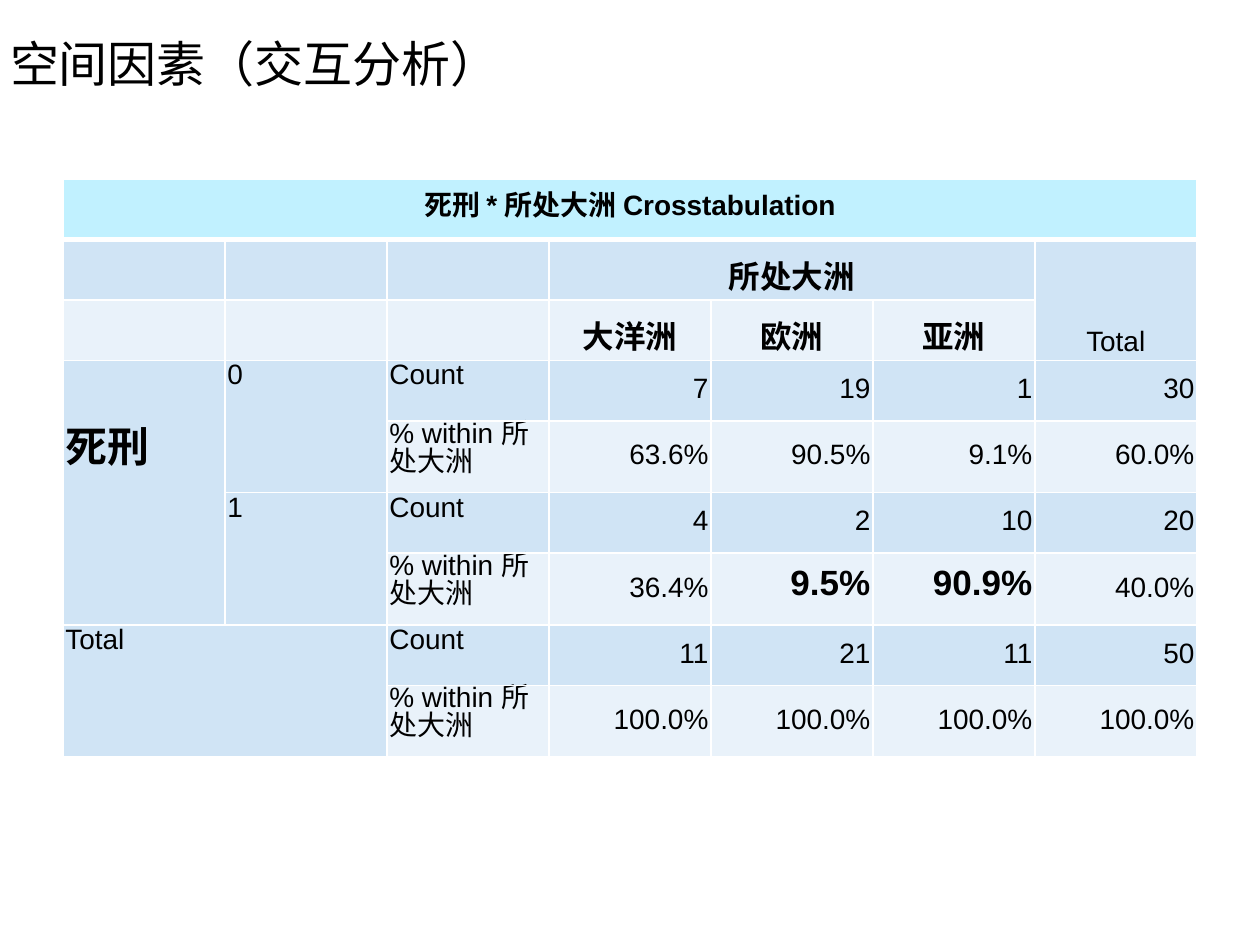
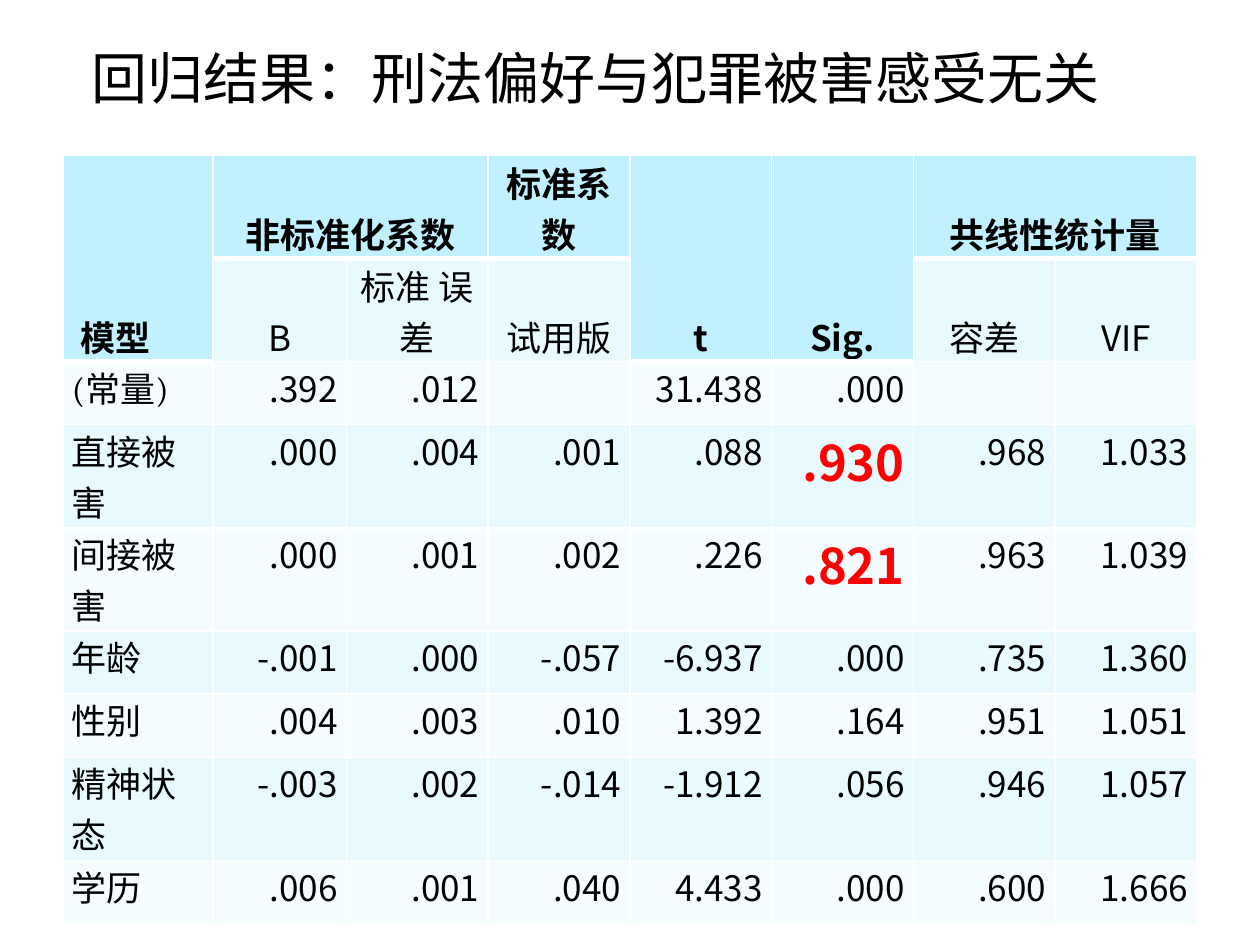
from dataclasses import dataclass

from lxml import etree
from pptx import Presentation
from pptx.dml.color import RGBColor
from pptx.enum.text import MSO_ANCHOR, PP_ALIGN
from pptx.oxml.ns import qn
from pptx.util import Inches, Pt

LEFT, CENTER, RIGHT = PP_ALIGN.LEFT, PP_ALIGN.CENTER, PP_ALIGN.RIGHT
TOP, MIDDLE, BOTTOM = MSO_ANCHOR.TOP, MSO_ANCHOR.MIDDLE, MSO_ANCHOR.BOTTOM


@dataclass(frozen=True)
class Theme:
    """Colours, fonts, type sizes and line widths of the deck."""
    ink: str = "000000"
    alert: str = "FF0000"
    border: str = "FFFFFF"
    header: str = "C1F1FF"
    blue_bands: tuple = ("E9F2FA", "D0E4F5")
    cyan_bands: tuple = ("F4FCFF", "E9FAFF")
    sans: str = "Arial"
    serif: str = "Cambria"
    han: str = "Noto Sans CJK SC"
    figures: str = "Noto Sans CJK TC"
    title: int = 28
    large_title: int = 32
    small: int = 16
    label: int = 18
    body: int = 20
    group: int = 24
    thin: int = 1
    thick: int = 3


THEME = Theme()


def write(frame, text, *, size, font, color=THEME.ink, bold=False,
          align=LEFT, line_points=None):
    """Put one formatted paragraph into a text frame."""
    para = frame.paragraphs[0]
    para.alignment = align
    if line_points:
        para.line_spacing = Pt(line_points)
    span = para.add_run()
    span.text = text
    span.font.size = Pt(size)
    span.font.bold = bold
    span.font.color.rgb = RGBColor.from_string(color)
    span.font.name = font
    east_asian = etree.SubElement(span.font._element, qn("a:ea"))
    east_asian.set("typeface", THEME.han)


def set_borders(cell, widths):
    """Draw the left, right, top and bottom borders of a cell."""
    properties = cell._tc.get_or_add_tcPr()
    for index, (side, width) in enumerate(zip("LRTB", widths)):
        line = etree.Element(qn(f"a:ln{side}"), w=str(Pt(width)))
        fill = etree.SubElement(line, qn("a:solidFill"))
        etree.SubElement(fill, qn("a:srgbClr"), val=THEME.border)
        properties.insert(index, line)


class SlideBuilder:
    """Builds slides on a grid of 100 columns by 75 rows."""

    def __init__(self):
        """Start a deck of 10 by 7.5 inches."""
        self.deck = Presentation()
        self.deck.slide_width = Inches(10)
        self.deck.slide_height = Inches(7.5)
        self.page = None

    def grid(self, units):
        """Turn grid units into a length."""
        return int(self.deck.slide_width * units / 100)

    def new_page(self):
        """Add a blank page and make it current."""
        self.page = self.deck.slides.add_slide(self.deck.slide_layouts[6])

    def title(self, text, width, height, **text_format):
        """Add the title at the top left of the page."""
        box = self.page.shapes.add_textbox(
            *map(self.grid, (0.8, 2.3, width, height)))
        frame = box.text_frame
        frame.word_wrap = True
        frame.vertical_anchor = MIDDLE
        frame.margin_left = frame.margin_right = 0
        frame.margin_top = frame.margin_bottom = 0
        write(frame, text, **text_format)

    def table(self, top, widths, heights, rows, merges, bands, margins, cell_format):
        """Add a banded table, formatting each cell by its place."""
        table = self.page.shapes.add_table(
            len(heights), len(widths),
            *map(self.grid, (5, top, sum(widths), sum(heights)))).table
        table.first_row = table.horz_banding = False
        for column, width in zip(table.columns, widths):
            column.width = self.grid(width)
        for row, height in zip(table.rows, heights):
            row.height = self.grid(height)
        for r, texts in enumerate(rows):
            for c, text in enumerate(texts):
                cell = table.cell(r, c)
                cell.fill.solid()
                cell.fill.fore_color.rgb = RGBColor.from_string(
                    bands[r % 2] if r else THEME.header)
                set_borders(cell, (THEME.thin, THEME.thin,
                                   THEME.thick if r == 1 else THEME.thin,
                                   THEME.thick if r == 0 else THEME.thin))
                if text:
                    self.fill_cell(cell, text, margins, **cell_format(r, c, text))
        for first_row, first_column, last_row, last_column in merges:
            table.cell(first_row, first_column).merge(
                table.cell(last_row, last_column))

    def fill_cell(self, cell, text, margins, anchor=TOP, inset=(0, 0), **text_format):
        """Write text into a cell, with an extra left and top inset."""
        side, end = margins
        cell.vertical_anchor = anchor
        cell.margin_left = self.grid(side + inset[0])
        cell.margin_top = self.grid(end + inset[1])
        cell.margin_right, cell.margin_bottom = self.grid(side), self.grid(end)
        write(cell.text_frame, text, **text_format)


def crosstab_format(row, column, text):
    """Choose the format of a crosstabulation cell."""
    style = {"size": THEME.small, "font": THEME.sans, "line_points": 16}
    if row == 0:
        style.update(align=CENTER, anchor=MIDDLE, bold=True)
    elif row < 3:
        style.update(align=CENTER, anchor=BOTTOM)
        if column < 6:
            style.update(size=THEME.label, bold=True)
    elif column > 2:
        style.update(align=RIGHT, anchor=MIDDLE)
        if text in ("9.5%", "90.9%"):
            style.update(size=THEME.body, bold=True)
    elif text == "死刑":
        style.update(size=THEME.group, bold=True, inset=(0, 6.67))
    return style


def regression_format(row, column, text):
    """Choose the format of a regression cell."""
    style = {"size": THEME.body,
             "font": THEME.figures if text.isascii() else THEME.serif}
    if row < 2:
        style.update(align=CENTER, anchor=BOTTOM, bold=row == 0)
        if column == 0:
            style.update(align=LEFT, inset=(0.7, 0))
    elif column:
        style.update(align=RIGHT)
        if text in (".930", ".821"):
            style.update(size=THEME.group + 4, font=THEME.han,
                         color=THEME.alert, bold=True)
    return style


def add_crosstab(builder):
    """Build the page on the continents."""
    share = "% within 所处大洲"
    rows = [
        ["死刑 * 所处大洲 Crosstabulation"] + [""] * 6,
        ["", "", "", "所处大洲", "", "", "Total"],
        ["", "", "", "大洋洲", "欧洲", "亚洲", ""],
        ["死刑", "0", "Count", "7", "19", "1", "30"],
        ["", "", share, "63.6%", "90.5%", "9.1%", "60.0%"],
        ["", "1", "Count", "4", "2", "10", "20"],
        ["", "", share, "36.4%", "9.5%", "90.9%", "40.0%"],
        ["Total", "", "Count", "11", "21", "11", "50"],
        ["", "", share, "100.0%", "100.0%", "100.0%", "100.0%"],
    ]
    merges = [(0, 0, 0, 6), (1, 3, 1, 5), (1, 6, 2, 6), (3, 0, 6, 0),
              (3, 1, 4, 1), (5, 1, 6, 1), (7, 0, 8, 1)]
    builder.new_page()
    builder.title("空间因素（交互分析）", 78.4, 5.4, size=THEME.title, font=THEME.sans)
    builder.table(14.2, [90 / 7] * 7, [4.8] * 3 + [4.8, 5.7] * 3, rows, merges,
                  THEME.blue_bands, (0.2, 0.2), crosstab_format)


def add_regression(builder):
    """Build the page on the regression result."""
    rows = [
        ["模型", "非标准化系数", "", "标准系数", "t", "Sig.", "共线性统计量", ""],
        ["", "B", "标准 误差", "试用版", "", "", "容差", "VIF"],
        ["(常量)", ".392", ".012", "", "31.438", ".000", "", ""],
        ["直接被害", ".000", ".004", ".001", ".088", ".930", ".968", "1.033"],
        ["间接被害", ".000", ".001", ".002", ".226", ".821", ".963", "1.039"],
        ["年龄", "-.001", ".000", "-.057", "-6.937", ".000", ".735", "1.360"],
        ["性别", ".004", ".003", ".010", "1.392", ".164", ".951", "1.051"],
        ["精神状态", "-.003", ".002", "-.014", "-1.912", ".056", ".946", "1.057"],
        ["学历", ".006", ".001", ".040", "4.433", ".000", ".600", "1.666"],
    ]
    merges = [(0, 0, 1, 0), (0, 1, 0, 2), (0, 4, 1, 4), (0, 5, 1, 5), (0, 6, 0, 7)]
    single, double = 5, 8.2
    heights = [double, double, single, double, double,
               single, single, double, single]
    builder.new_page()
    builder.title("回归结果：刑法偏好与犯罪被害感受无关", 93, 7.6,
                  size=THEME.large_title, font=THEME.han, align=CENTER)
    builder.table(12.3, [11.9, 10.6] + [11.25] * 6, heights, rows, merges,
                  THEME.cyan_bands, (0.7, 0), regression_format)


def main():
    """Build and save the deck."""
    builder = SlideBuilder()
    add_crosstab(builder)
    add_regression(builder)
    builder.deck.save("out.pptx")


if __name__ == "__main__":
    main()
